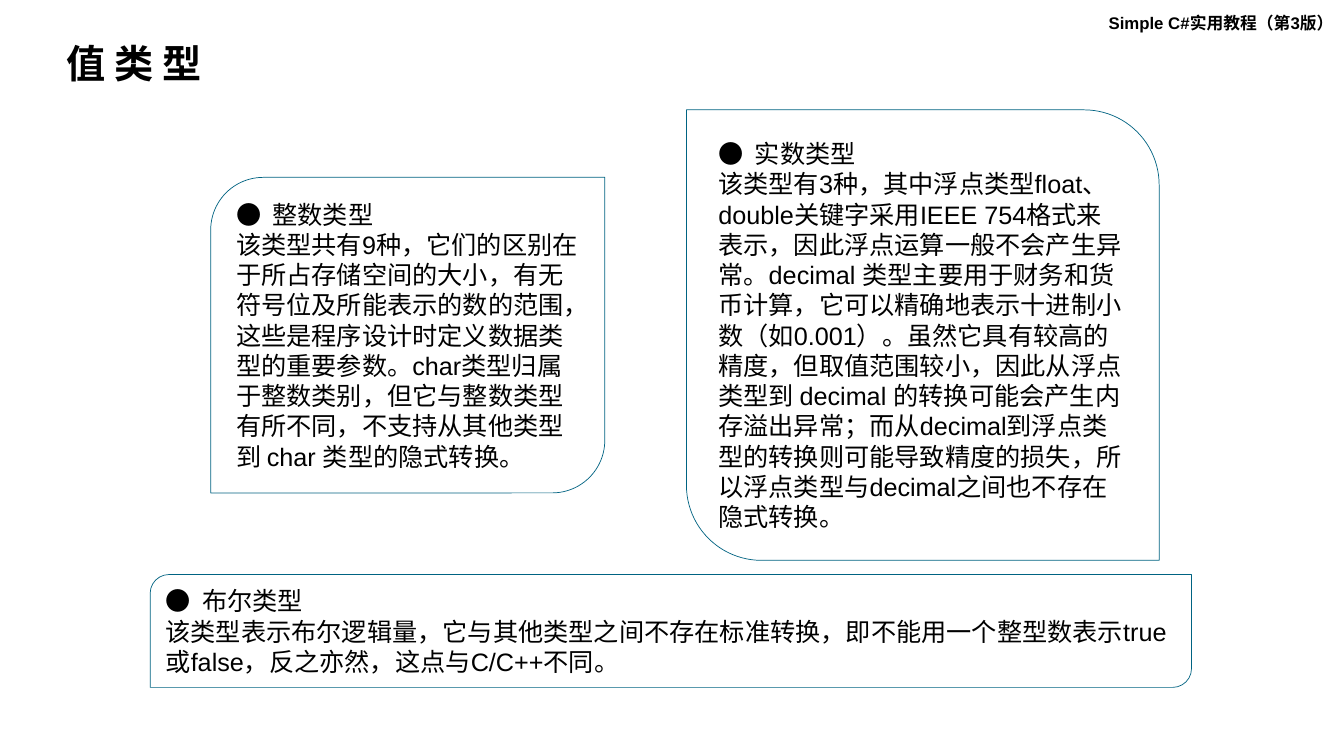
from pptx import Presentation
from pptx.dml.color import RGBColor
from pptx.enum import shapes, text
from pptx.util import Pt

COLORS = {"text": "000000", "outline": "006382"}
FONT = "Arial"
CORNER = 0.16667

INTEGER_TYPES = (
    "●  整数类型",
    "该类型共有9种，它们的区别在于所占存储空间的大小，有无符号位及所能表示的数的范围，"
    "这些是程序设计时定义数据类型的重要参数。char类型归属于整数类别，但它与整数类型有所不同，"
    "不支持从其他类型到 char 类型的隐式转换。",
)
REAL_TYPES = (
    "●  实数类型",
    "该类型有3种，其中浮点类型float、double关键字采用IEEE 754格式来表示，"
    "因此浮点运算一般不会产生异常。decimal 类型主要用于财务和货币计算，"
    "它可以精确地表示十进制小数（如0.001）。虽然它具有较高的精度，但取值范围较小，"
    "因此从浮点类型到 decimal 的转换可能会产生内存溢出异常；"
    "而从decimal到浮点类型的转换则可能导致精度的损失，所以浮点类型与decimal之间也不存在隐式转换。",
)
BOOLEAN_TYPE = (
    "●  布尔类型",
    "该类型表示布尔逻辑量，它与其他类型之间不存在标准转换，"
    "即不能用一个整型数表示true或false，反之亦然，这点与C/C++不同。",
)


def write(shape, lines, size, bold=False, spacing=None):
    frame = shape.text_frame
    frame.word_wrap = True
    frame.text = "\n".join(lines)
    for paragraph in frame.paragraphs:
        paragraph.alignment = text.PP_ALIGN.LEFT
        if spacing:
            paragraph.line_spacing = spacing
        for run in paragraph.runs:
            run.font.name = FONT
            run.font.size = Pt(size)
            run.font.bold = bold
            run.font.color.rgb = RGBColor.from_string(COLORS["text"])
    return frame


def add_book_name(slide, box):
    shape = slide.shapes.add_textbox(*map(Pt, box))
    frame = write(shape, ["Simple C#实用教程（第3版）"], 12, bold=True)
    frame.auto_size = text.MSO_AUTO_SIZE.SHAPE_TO_FIT_TEXT


def add_title(slide, box):
    shape = slide.shapes.add_textbox(*map(Pt, box))
    frame = write(shape, ["值 类 型"], 28, bold=True, spacing=0.9)
    frame.vertical_anchor = text.MSO_ANCHOR.MIDDLE


def add_type_card(slide, box, lines, mirrored=False):
    shape = slide.shapes.add_shape(
        shapes.MSO_SHAPE.ROUND_2_DIAG_RECTANGLE, *map(Pt, box))
    # Mirroring moves the rounding to the other diagonal
    corners = (0, CORNER) if mirrored else (CORNER, 0)
    shape.adjustments[0], shape.adjustments[1] = corners
    shape.shadow.inherit = False
    shape.fill.background()
    shape.line.color.rgb = RGBColor.from_string(COLORS["outline"])
    shape.line.width = Pt(0.5)
    frame = write(shape, lines, 18)
    frame.vertical_anchor = text.MSO_ANCHOR.MIDDLE
    frame.auto_size = text.MSO_AUTO_SIZE.SHAPE_TO_FIT_TEXT


def main():
    presentation = Presentation()
    presentation.slide_width, presentation.slide_height = Pt(960), Pt(540)
    slide = presentation.slides.add_slide(presentation.slide_layouts[6])

    # Heading
    add_book_name(slide, (784.8, 5.8, 175.7, 21.6))
    add_title(slide, (40.3, 28.1, 207.4, 37.4))

    # Value type cards
    add_type_card(slide, (150.5, 126.7, 281.5, 225.4), INTEGER_TYPES)
    add_type_card(slide, (490.3, 78.5, 337.7, 321.8), REAL_TYPES, mirrored=True)
    add_type_card(slide, (107.3, 410.4, 743.8, 80.6), BOOLEAN_TYPE)

    presentation.save("out.pptx")


if __name__ == "__main__":
    main()
